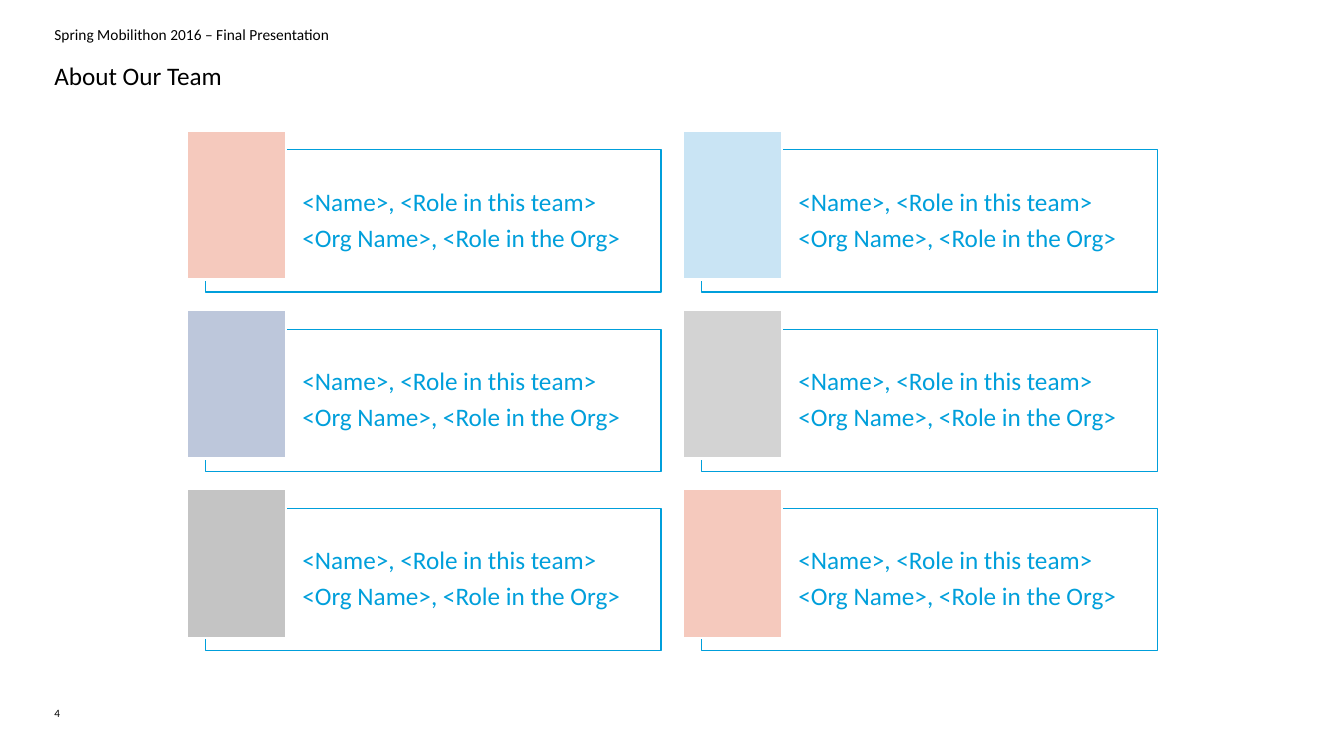
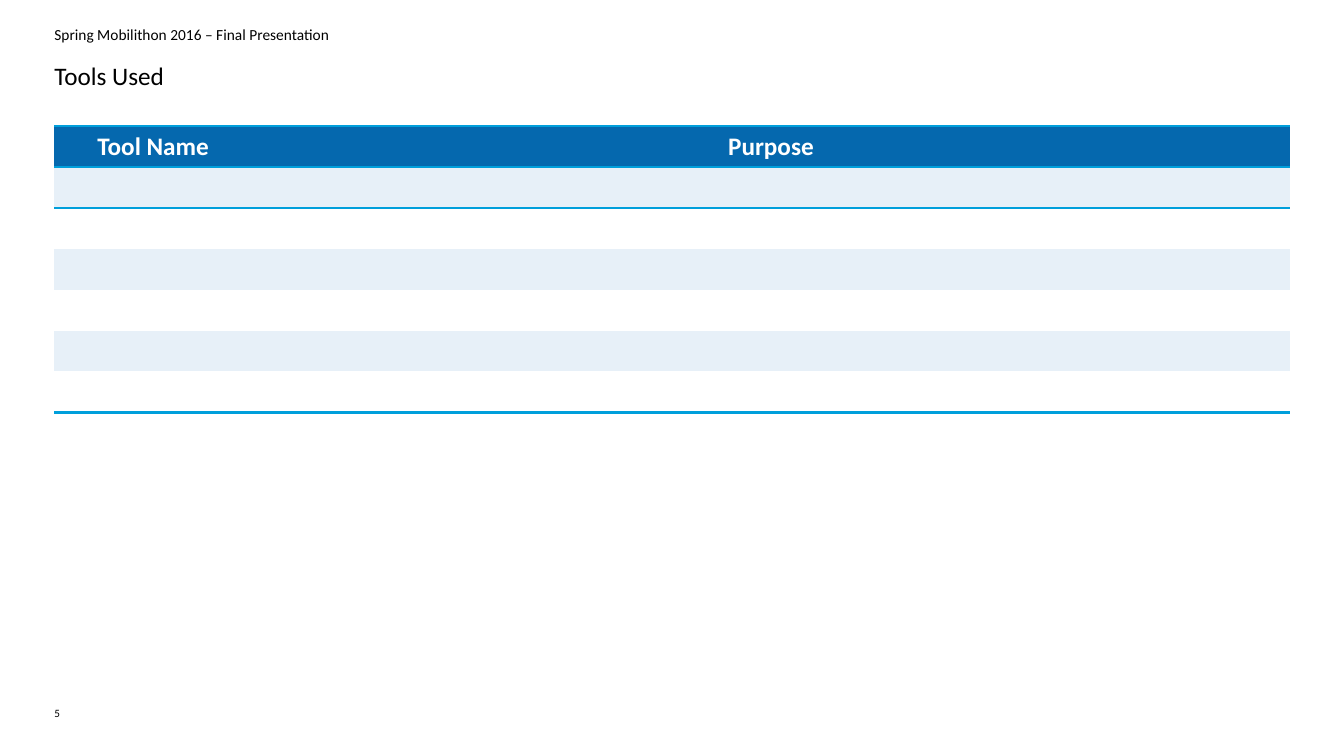
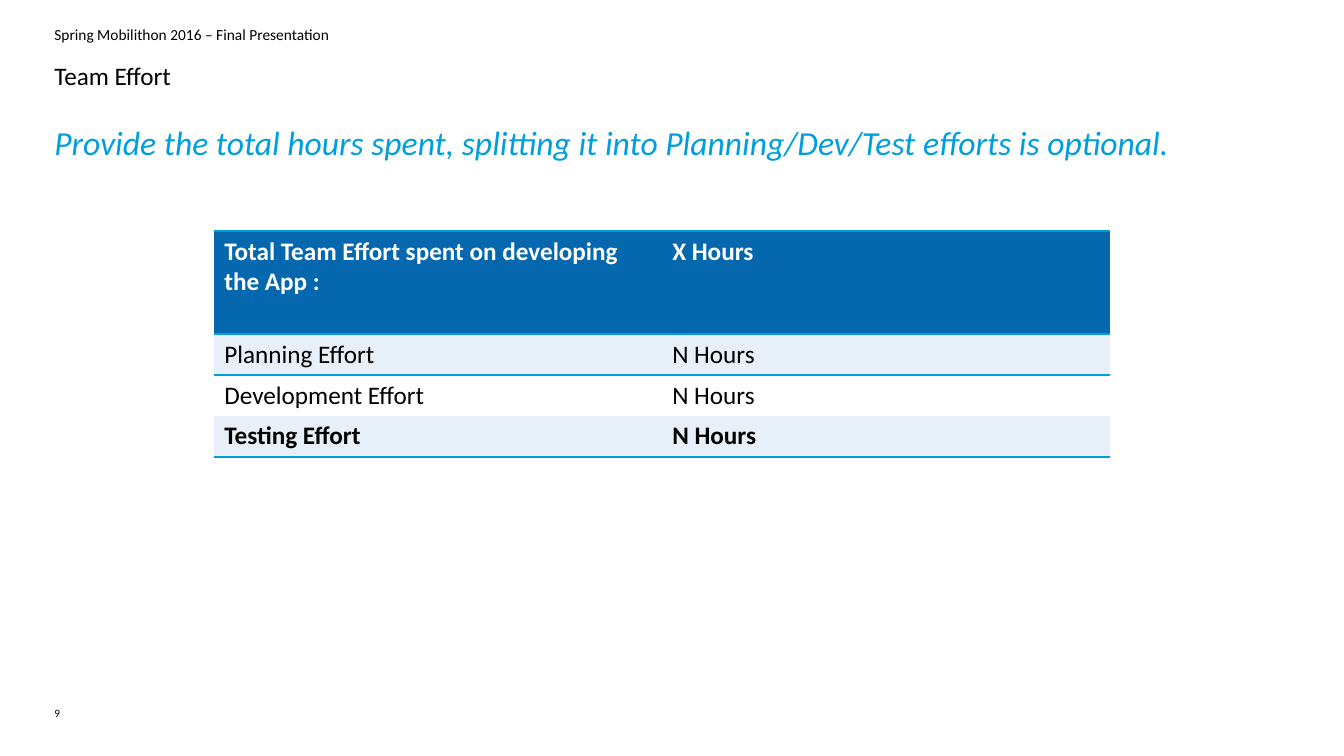
from pptx import Presentation
from pptx.dml.color import RGBColor
from pptx.enum.shapes import MSO_SHAPE as Shape
from pptx.enum.text import MSO_ANCHOR as Anchor, PP_ALIGN as Align
from pptx.oxml.ns import qn
from pptx.util import Cm, Pt
from lxml.etree import SubElement

# Content
EVENT = "Spring Mobilithon 2016 – Final Presentation"
TEAM = {"number": "4", "title": "About Our Team"}
MEMBER = ["<Name>, <Role in this team>", "<Org Name>, <Role in the Org>"]
MEMBER_TILES = ["peach", "sky", "slate", "silver", "grey", "peach"]
TOOLS = {"number": "5", "title": "Tools Used"}
TOOL_ROWS = [("Tool Name", "Purpose")] + [("", "")] * 6
EFFORT = {"number": "9", "title": "Team Effort"}
EFFORT_HINT = ("Provide the total hours spent, splitting it into "
               "Planning/Dev/Test efforts is optional.")
EFFORT_ROWS = [
    ("Total Team Effort spent on developing the App :", "X Hours"),
    ("Planning Effort", "N Hours"),
    ("Development Effort", "N Hours"),
    ("Testing Effort", "N Hours"),
]

# Shared style
COLORS = {
    "black": "000000", "white": "FFFFFF", "accent": "009FDB",
    "header": "0568AE", "band": "E7F0F8", "peach": "F5C9BD",
    "sky": "C9E4F4", "slate": "BDC7DB", "silver": "D3D3D3", "grey": "C4C4C4",
}
FONT = "Calibri"
NO_TABLE_STYLE = "{2D5ABB26-0587-4C30-8999-92F81FD0307C}"
MARGIN, CONTENT_TOP, CONTENT_WIDTH = 1.37, 3.18, 31.14
HEADING_WIDTH = 27.18
ROW_HEIGHT = 1.03

# Team grid, in centimetres
GRID_COLUMNS = 2
CARD_LEFT, CARD_TOP, CARD_WIDTH, CARD_HEIGHT = 5.18, 3.78, 11.48, 3.58
COLUMN_STEP, ROW_STEP = 12.5, 4.52
TILE_SHIFT_X, TILE_SHIFT_Y, TILE_WIDTH, TILE_HEIGHT = 0.48, 0.5, 2.51, 3.76


def rgb(name):
    """Return the named palette colour."""
    return RGBColor.from_string(COLORS[name])


def write(frame, lines, size=18, color="black", bold=False, italic=False,
          **paragraph_format):
    """Put lines into a text frame, one paragraph each."""
    for index, line in enumerate(lines):
        paragraph = frame.add_paragraph() if index else frame.paragraphs[0]
        for key, value in paragraph_format.items():
            setattr(paragraph, key, value)
        run = paragraph.add_run()
        run.text = line
        font_format = {"name": FONT, "size": Pt(size), "bold": bold, "italic": italic}
        for key, value in font_format.items():
            setattr(run.font, key, value)
        run.font.color.rgb = rgb(color)


def set_frame(frame, left=0, other=0, anchor=Anchor.TOP):
    """Set wrapping, anchor and margins of a text frame."""
    frame_format = {
        "word_wrap": True, "vertical_anchor": anchor, "margin_left": Cm(left),
        "margin_top": Cm(other), "margin_right": Cm(other), "margin_bottom": Cm(other),
    }
    for key, value in frame_format.items():
        setattr(frame, key, value)


def add_text(slide, line, top, width, height, **style):
    """Add a text box that starts at the left margin."""
    box = slide.shapes.add_textbox(Cm(MARGIN), Cm(top), Cm(width), Cm(height))
    set_frame(box.text_frame)
    write(box.text_frame, [line], **style)


def add_slide(deck, number, title):
    """Add a slide with event line, page number and title."""
    slide = deck.slides.add_slide(deck.slide_layouts[6])
    add_text(slide, EVENT, 0.64, HEADING_WIDTH, 0.46, size=11)
    add_text(slide, number, 17.78, 0.81, 0.64, size=8, line_spacing=Pt(10))
    add_text(slide, title, 1.45, HEADING_WIDTH, 0.94,
             line_spacing=1.1, space_after=Pt(10))
    return slide


def add_rect(slide, left, top, width, height, fill, line, line_width):
    """Add a flat outlined rectangle."""
    rect = slide.shapes.add_shape(
        Shape.RECTANGLE, Cm(left), Cm(top), Cm(width), Cm(height))
    rect.shadow.inherit = False
    rect.fill.solid()
    rect.fill.fore_color.rgb = rgb(fill)
    rect.line.color.rgb = rgb(line)
    rect.line.width = Pt(line_width)
    return rect


def add_member(slide, left, top, tile):
    """Add a member card with its coloured tile."""
    card = add_rect(slide, left, top, CARD_WIDTH, CARD_HEIGHT, "white", "accent", 0.75)
    color = card.fill._xPr.find(qn("a:solidFill"))[0]
    SubElement(color, qn("a:alpha"), val="40000")
    set_frame(card.text_frame, left=2.44, other=0.18, anchor=Anchor.MIDDLE)
    write(card.text_frame, MEMBER, color="accent", alignment=Align.LEFT,
          line_spacing=0.9, space_after=Pt(6.3))
    add_rect(slide, left - TILE_SHIFT_X, top - TILE_SHIFT_Y,
             TILE_WIDTH, TILE_HEIGHT, tile, "white", 2)


def add_border(cell, side):
    """Draw an accent border on one side of a cell."""
    line = SubElement(cell._tc.get_or_add_tcPr(), qn(f"a:ln{side}"), w=str(Pt(2)))
    fill = SubElement(line, qn("a:solidFill"))
    SubElement(fill, qn("a:srgbClr"), val=COLORS["accent"])


def add_banded_table(slide, rows, left, top, widths, header_height=ROW_HEIGHT,
                     header_align=Align.LEFT, bold_last=False):
    """Add a table with a dark header and alternating bands."""
    last = len(rows) - 1
    heights = [header_height] + [ROW_HEIGHT] * last
    table = slide.shapes.add_table(
        len(rows), len(widths), Cm(left), Cm(top),
        Cm(sum(widths)), Cm(sum(heights))).table
    table._tbl.tblPr.find(qn("a:tableStyleId")).text = NO_TABLE_STYLE
    for column, width in zip(table.columns, widths):
        column.width = Cm(width)
    for index, (entries, height) in enumerate(zip(rows, heights)):
        table.rows[index].height = Cm(height)
        header = index == 0
        fill = "header" if header else "band" if index % 2 else "white"
        sides = "TB" if header else "B" if index == last else "T" if index == 1 else ""
        for cell, entry in zip(table.rows[index].cells, entries):
            for side in sides:
                add_border(cell, side)
            cell.fill.solid()
            cell.fill.fore_color.rgb = rgb(fill)
            if entry:
                write(cell.text_frame, [entry],
                      color="white" if header else "black",
                      bold=header or (bold_last and index == last),
                      alignment=header_align if header else Align.LEFT)


def build_team(deck):
    """Build the grid of team members."""
    slide = add_slide(deck, **TEAM)
    for index, tile in enumerate(MEMBER_TILES):
        row, column = divmod(index, GRID_COLUMNS)
        add_member(slide, CARD_LEFT + column * COLUMN_STEP,
                   CARD_TOP + row * ROW_STEP, tile)


def build_tools(deck):
    """Build the empty tools table."""
    slide = add_slide(deck, **TOOLS)
    name_width = 4.98
    add_banded_table(slide, TOOL_ROWS, MARGIN, CONTENT_TOP,
                     [name_width, CONTENT_WIDTH - name_width],
                     header_align=Align.CENTER)


def build_effort(deck):
    """Build the effort hint and table."""
    slide = add_slide(deck, **EFFORT)
    add_text(slide, EFFORT_HINT, CONTENT_TOP, CONTENT_WIDTH, 13.36, size=24,
             color="accent", italic=True, line_spacing=0.9, space_after=Pt(6))
    add_banded_table(slide, EFFORT_ROWS, 5.4, 5.82, [11.29] * 2,
                     header_height=2.6, bold_last=True)


deck = Presentation()
deck.slide_width, deck.slide_height = Cm(33.87), Cm(19.05)
for build in (build_team, build_tools, build_effort):
    build(deck)
deck.save("out.pptx")
